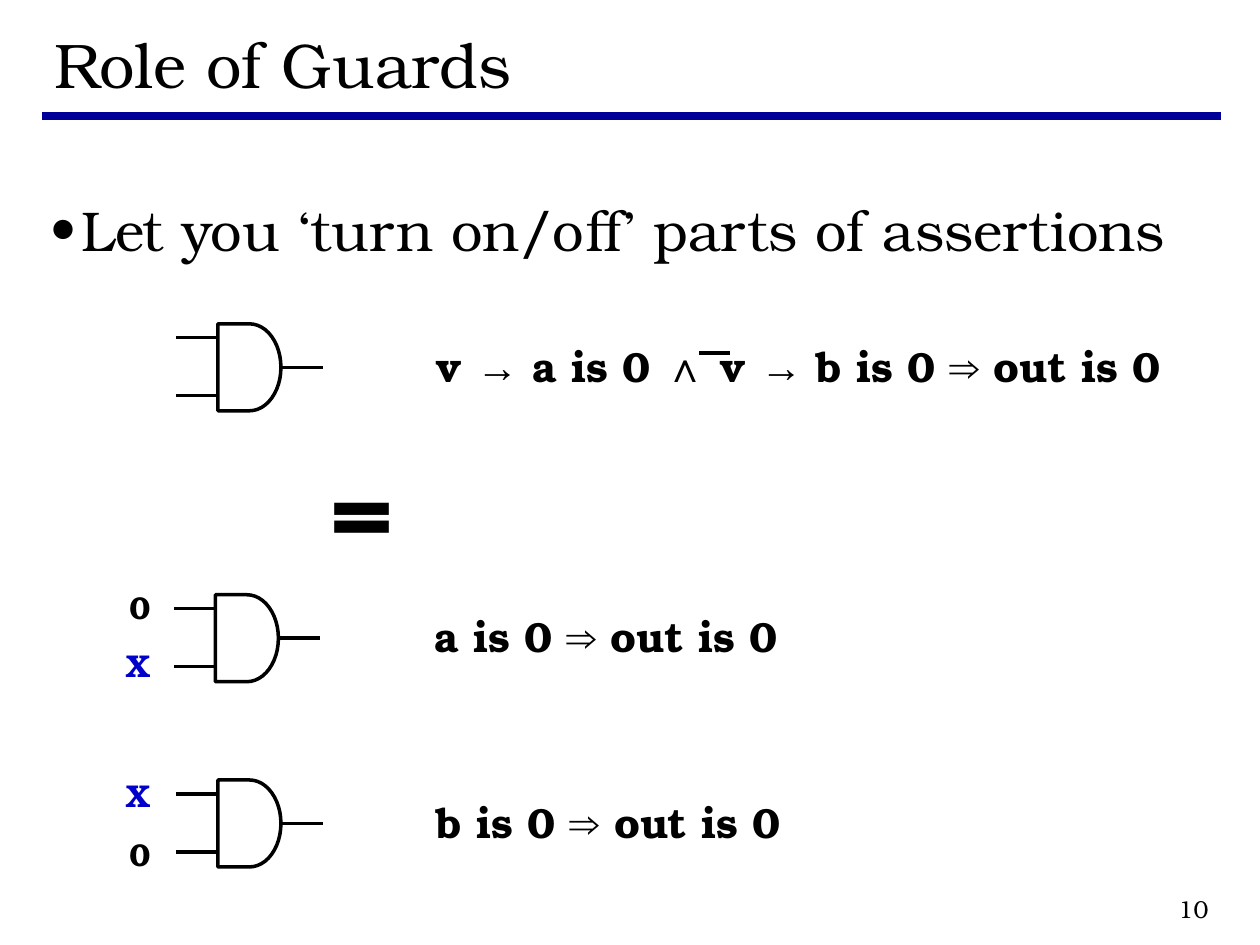
from itertools import groupby

from lxml import etree
from pptx import Presentation
from pptx.dml.color import RGBColor
from pptx.enum.shapes import MSO_CONNECTOR, MSO_SHAPE
from pptx.enum.text import MSO_ANCHOR, PP_ALIGN
from pptx.oxml.ns import qn
from pptx.util import Inches, Pt

STRAIGHT = MSO_CONNECTOR.STRAIGHT
DELAY = MSO_SHAPE.FLOWCHART_DELAY
TOP, MIDDLE = MSO_ANCHOR.TOP, MSO_ANCHOR.MIDDLE
LEFT, CENTER, RIGHT = PP_ALIGN.LEFT, PP_ALIGN.CENTER, PP_ALIGN.RIGHT

COLORS = {"text": "000000", "rule": "000099", "free": "0000CC"}
TEXT_FONT = "TeX Gyre Bonum"
SYMBOL_FONT = "Arial"
SYMBOLS = "→∧⇒"
GATE_WIDTH, GATE_HEIGHT = 0.5, 0.69
WIRE_LENGTH = 0.33
INPUT_OFFSETS = (0.11, 0.57)


def color(name):
    return RGBColor.from_string(COLORS[name])


def format_run(run, size, color_name="text", bold=False, font_name=TEXT_FONT):
    run.font.name = font_name
    run.font.size = Pt(size)
    run.font.bold = bold
    run.font.color.rgb = color(color_name)


def add_line(slide, start, end, width=2, color_name="text"):
    line = slide.shapes.add_connector(STRAIGHT, *map(Inches, start + end))
    line.line.width = Pt(width)
    line.line.color.rgb = color(color_name)
    etree.SubElement(line._element.spPr, qn("a:effectLst"))
    return line


def add_text(slide, box, text, size, color_name="text", bold=True, align=LEFT, anchor=TOP):
    shape = slide.shapes.add_textbox(*map(Inches, box))
    frame = shape.text_frame
    frame.word_wrap = True
    frame.vertical_anchor = anchor
    paragraph = frame.paragraphs[0]
    paragraph.alignment = align
    for is_symbol, characters in groupby(text, lambda character: character in SYMBOLS):
        run = paragraph.add_run()
        run.text = "".join(characters)
        format_run(run, size, color_name, bold, SYMBOL_FONT if is_symbol else TEXT_FONT)
    return shape


def add_title(slide, text):
    title = slide.shapes.title
    title.left, title.top = Inches(0.33), Inches(0.17)
    title.width, title.height = Inches(9.36), Inches(0.67)
    title.text_frame.text = text
    title.text_frame.vertical_anchor = MIDDLE
    paragraph = title.text_frame.paragraphs[0]
    paragraph.alignment = LEFT
    format_run(paragraph.runs[0], 36)


def add_bullet(slide, box, text):
    shape = add_text(slide, box, text, 32, bold=False)
    properties = shape.text_frame.paragraphs[0]._p.get_or_add_pPr()
    properties.set("marL", str(Inches(0.25)))
    properties.set("indent", str(-Inches(0.25)))
    etree.SubElement(properties, qn("a:buFont")).set("typeface", TEXT_FONT)
    etree.SubElement(properties, qn("a:buChar")).set("char", "•")


def add_gate(slide, left, top):
    gate = slide.shapes.add_shape(
        DELAY, Inches(left), Inches(top), Inches(GATE_WIDTH), Inches(GATE_HEIGHT)
    )
    gate.shadow.inherit = False
    gate.fill.background()
    gate.line.color.rgb = color("text")
    gate.line.width = Pt(2)
    for offset in INPUT_OFFSETS:
        add_line(slide, (left, top + offset), (left - WIRE_LENGTH, top + offset))
    right, middle = left + GATE_WIDTH, top + GATE_HEIGHT / 2
    output = add_line(slide, (right, middle), (right + WIRE_LENGTH, middle))
    output.begin_connect(gate, 3)


def add_input(slide, top, value):
    color_name = "free" if value == "X" else "text"
    add_text(slide, (0.9, top, 0.39, 0.4), value, 18, color_name, align=RIGHT)


def add_case(slide, gate_left, gate_top, assertion, width):
    add_gate(slide, gate_left, gate_top)
    add_text(slide, (gate_left + 1.64, gate_top + 0.08, width, 0.5), assertion, 24)


def main():
    presentation = Presentation()
    presentation.slide_width, presentation.slide_height = Inches(10), Inches(7.5)
    slide = presentation.slides.add_slide(presentation.slide_layouts[5])

    add_line(slide, (0.33, 0.92), (9.69, 0.92), 5, "rule")
    add_title(slide, "Role of Guards")
    add_bullet(slide, (0.3, 1.5, 9.4, 0.7), "Let you ‘turn on/off’ parts of assertions")

    add_case(slide, 1.73, 2.57, "v → a is 0 ∧ v → b is 0 ⇒ out is 0", 6.26)
    add_line(slide, (5.55, 2.8), (5.79, 2.8))
    add_text(slide, (2.48, 3.44, 0.79, 1.1), "=", 60, align=CENTER)
    add_case(slide, 1.71, 4.72, "a is 0 ⇒ out is 0", 5.36)
    add_case(slide, 1.73, 6.19, "b is 0 ⇒ out is 0", 5.36)

    for top, value in ((4.62, "0"), (5.08, "X"), (6.11, "X"), (6.58, "0")):
        add_input(slide, top, value)

    add_text(slide, (7.61, 7, 2.08, 0.42), "10", 14, bold=False, align=RIGHT, anchor=MIDDLE)
    presentation.save("out.pptx")


if __name__ == "__main__":
    main()
